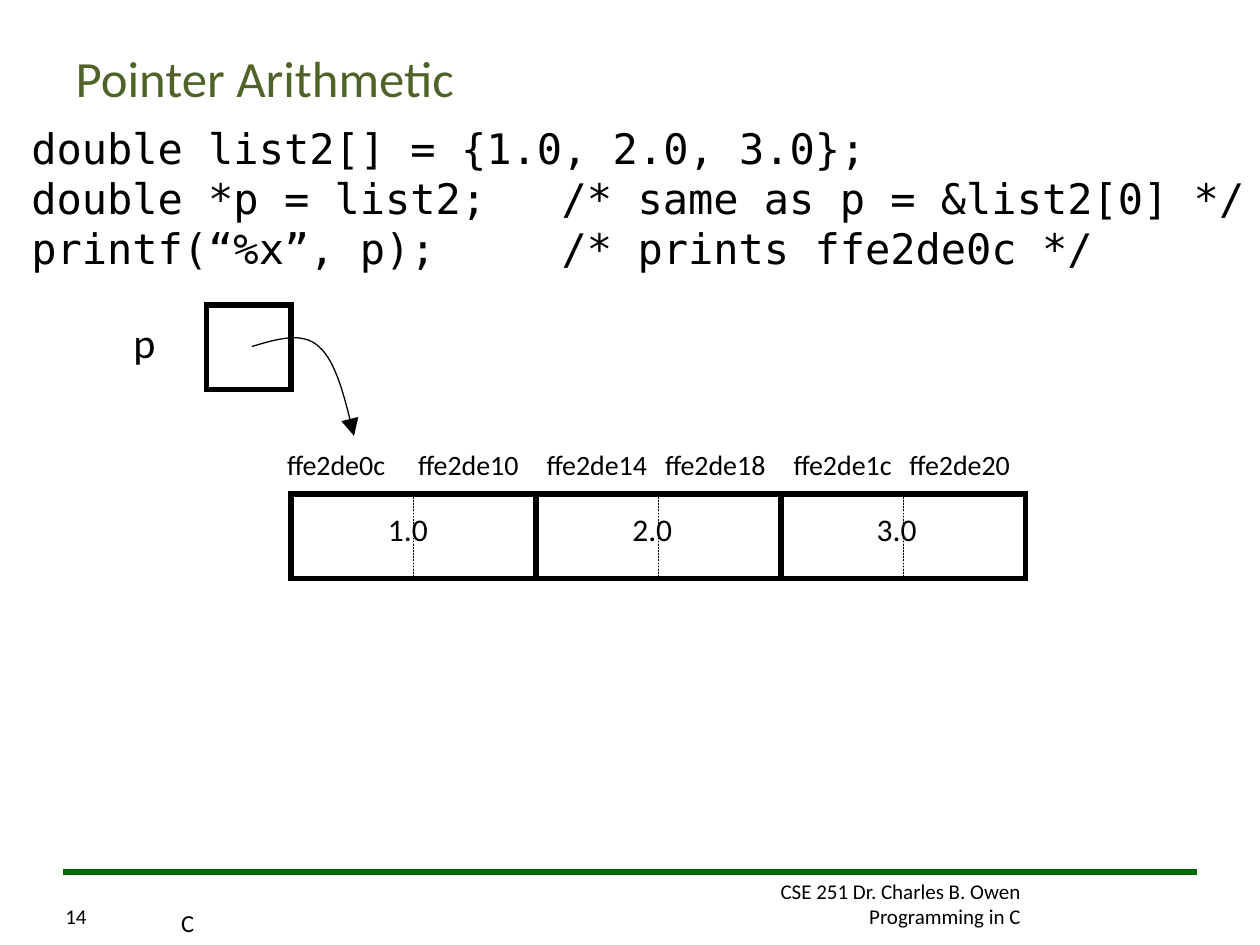
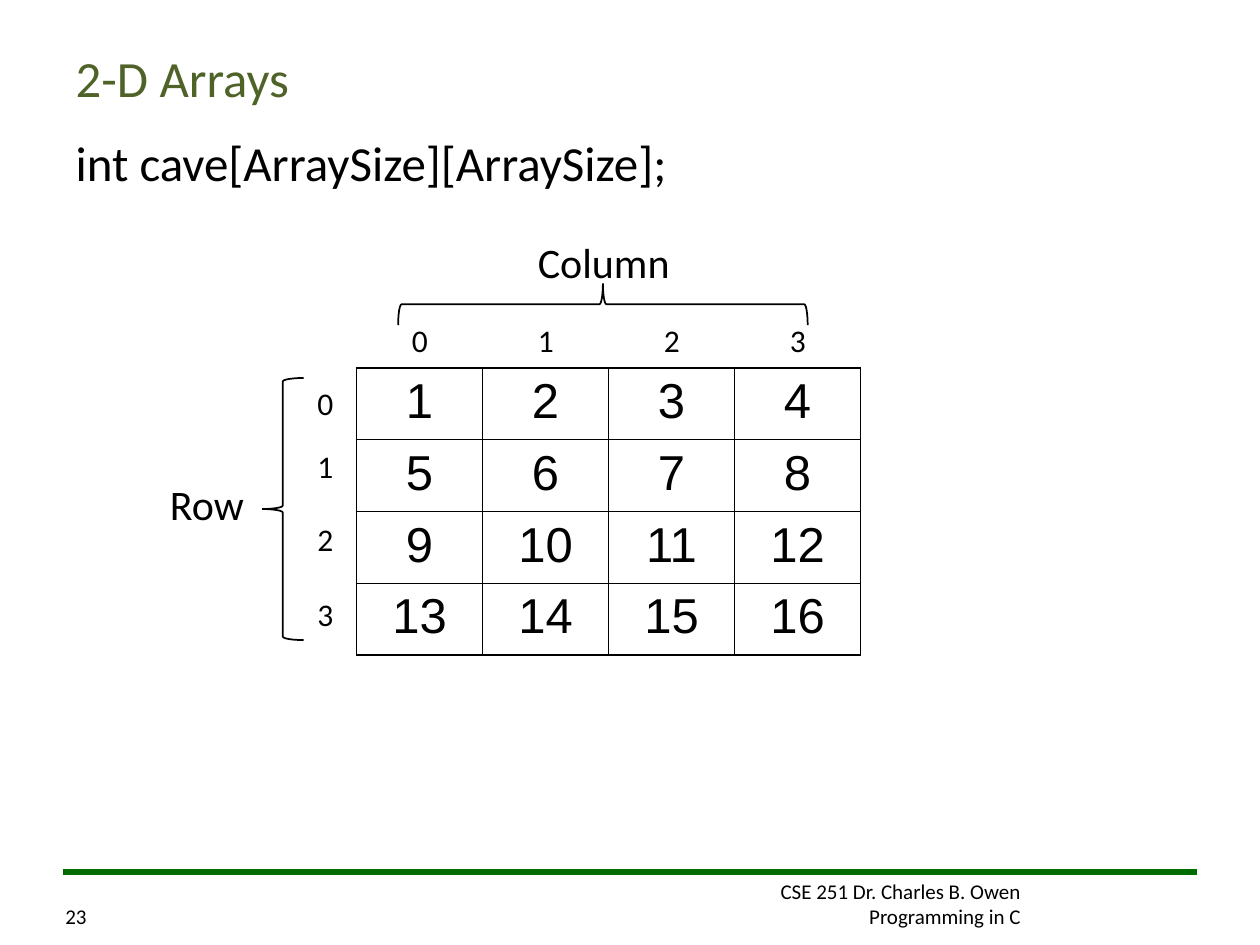
from dataclasses import dataclass

from pptx import Presentation
from pptx import util as u
from pptx.dml import color
from pptx.enum import dml, shapes, text
from pptx.oxml import xmlchemy

In, Pt = u.Inches, u.Pt


@dataclass(frozen=True)
class Theme:
    ink: str = "000000"
    title: str = "4F6228"
    rule: str = "006C00"
    faint: str = "C0C0C0"
    font: str = "Calibri"
    mono: str = "DejaVu Sans Mono"
    table_font: str = "Arial"
    title_size: int = 29
    body_size: int = 28
    label_size: int = 24
    value_size: int = 18
    address_size: int = 16
    note_size: int = 14
    footer_size: int = 12


def add_xml(parent, tag, **attrs):
    el = xmlchemy.OxmlElement(tag)
    for name, value in attrs.items():
        el.set(name, str(value))
    parent.append(el)
    return el


class Deck:
    def __init__(self, theme):
        self.t = theme
        self.prs = Presentation()
        self.prs.slide_width, self.prs.slide_height = In(10), In(7.5)
        self.s = None

    def new_slide(self, layout, title, number):
        self.s = self.prs.slides.add_slide(self.prs.slide_layouts[layout])
        self.placeholder(self.s.shapes.title, (0.5, 0.3, 9, 0.62), title,
                         self.t.title_size, self.t.title,
                         text.MSO_ANCHOR.MIDDLE)
        self.text(4.83, 6.92, 3.37, 0.5,
                  ["CSE 251 Dr. Charles B. Owen", "Programming in C"],
                  self.t.footer_size, align=text.PP_ALIGN.RIGHT)
        self.rule((9.5, 6.92), (0.5, 6.92))
        self.text(0.42, 7.12, 0.4, 0.3, [number], self.t.footer_size)

    def run(self, p, words, size, font=None, ink=None):
        r = p.add_run()
        r.text = words
        r.font.size = Pt(size)
        r.font.name = font or self.t.font
        r.font.color.rgb = color.RGBColor.from_string(ink or self.t.ink)

    def placeholder(self, sp, box, words, size, ink, anchor):
        sp.left, sp.top, sp.width, sp.height = map(In, box)
        tf = sp.text_frame
        tf.auto_size = text.MSO_AUTO_SIZE.NONE
        tf.vertical_anchor = anchor
        p = tf.paragraphs[0]
        p.alignment = text.PP_ALIGN.LEFT
        p.space_before = Pt(0)
        self.run(p, words, size, ink=ink)
        return p

    def body(self, words):
        p = self.placeholder(self.s.placeholders[1], (0.5, 1, 6.58, 0.75),
                             words, self.t.body_size, self.t.ink,
                             text.MSO_ANCHOR.TOP)
        pPr = p._p.get_or_add_pPr()
        pPr.set("marL", "0")
        pPr.set("indent", "0")
        add_xml(pPr, "a:buNone")

    def text(self, x, y, w, h, lines, size, font=None, wrap=True,
             align=text.PP_ALIGN.LEFT, tab=None):
        tf = self.s.shapes.add_textbox(In(x), In(y), In(w), In(h)).text_frame
        tf.word_wrap = wrap
        for i, line in enumerate(lines):
            p = tf.add_paragraph() if i else tf.paragraphs[0]
            p.alignment = align
            if tab:
                tabs = add_xml(p._p.get_or_add_pPr(), "a:tabLst")
                add_xml(tabs, "a:tab", pos=In(tab), algn="l")
            self.run(p, line, size, font)

    def outline(self, sp, width, ink=None, dash=None):
        sp.shadow.inherit = False
        sp.fill.background()
        sp.line.color.rgb = color.RGBColor.from_string(ink or self.t.ink)
        sp.line.width = Pt(width)
        if dash:
            sp.line.dash_style = dash
        ln = sp._element.spPr.get_or_add_ln()
        add_xml(ln, "a:miter", lim=800000)
        return ln

    def shape(self, kind, x, y, w, h, width, ink=None, dash=None):
        sp = self.s.shapes.add_shape(kind, In(x), In(y), In(w), In(h))
        self.outline(sp, width, ink, dash)
        return sp

    def box(self, *args, **style):
        return self.shape(shapes.MSO_SHAPE.RECTANGLE, *args, **style)

    def brace(self, x, y, w, h, rotation=0):
        sp = self.shape(shapes.MSO_SHAPE.LEFT_BRACE, x, y, w, h, 1)
        sp.rotation = rotation

    def rule(self, start, end):
        sp = self.s.shapes.add_connector(shapes.MSO_CONNECTOR.STRAIGHT,
                                         *map(In, start + end))
        sp.line.color.rgb = color.RGBColor.from_string(self.t.rule)
        sp.line.width = Pt(3)
        add_xml(sp._element.spPr, "a:effectLst")

    def curved_arrow(self, start, *curves, steps=16):
        points = [start]
        for b, c, d in curves:
            a = points[-1]
            for i in range(1, steps + 1):
                k = i / steps
                weights = ((1 - k) ** 3, 3 * k * (1 - k) ** 2,
                           3 * k * k * (1 - k), k ** 3)
                points.append(tuple(
                    sum(m * v for m, v in zip(weights, axis))
                    for axis in zip(a, b, c, d)))
        fb = self.s.shapes.build_freeform(In(start[0]), In(start[1]))
        fb.add_line_segments([(In(x), In(y)) for x, y in points[1:]],
                             close=False)
        ln = self.outline(fb.convert_to_shape(), 0.75)
        add_xml(ln, "a:tailEnd", type="triangle", w="lg", len="lg")

    def border(self, tcPr, side, width):
        ln = add_xml(tcPr, "a:ln" + side, w=Pt(width))
        add_xml(add_xml(ln, "a:solidFill"), "a:srgbClr", val=self.t.ink)

    def table(self, x, y, w, h, rows):
        n, m = len(rows), len(rows[0])
        table = self.s.shapes.add_table(n, m, In(x), In(y), In(w), In(h)).table
        table.first_row = table.horz_banding = False
        for i, row in enumerate(rows):
            for j, value in enumerate(row):
                cell = table.cell(i, j)
                outer = {"L": j == 0, "R": j == m - 1,
                         "T": i == 0, "B": i == n - 1}
                for side, edge in outer.items():
                    self.border(cell._tc.get_or_add_tcPr(), side,
                                1.08 if edge else 0.45)
                cell.fill.background()
                p = cell.text_frame.paragraphs[0]
                p.alignment = text.PP_ALIGN.CENTER
                self.run(p, str(value), self.t.body_size, self.t.table_font)


def pointer_slide(d):
    t = d.t
    d.new_slide(5, "Pointer Arithmetic", "14")
    d.box(1.64, 2.42, 0.67, 0.67, 3)
    d.text(0.96, 2.46, 0.37, 0.5, ["p"], t.label_size, wrap=False)
    d.text(0.15, 0.92, 9.83, 1.9,
           ["double list2[] = {1.0, 2.0, 3.0};",
            "double *p = list2;\t/* same as p = &list2[0] */",
            "printf(“%x”, p);\t/* prints ffe2de0c */"],
           t.label_size, t.mono, wrap=False, tab=4.21)

    top, height, half = 3.92, 0.67, 0.97
    dash = dml.MSO_LINE.DASH
    values = {"1.0": 2.98, "2.0": 4.92, "3.0": 6.86}
    for i, (value, value_x) in enumerate(values.items()):
        x = 2.31 + 1.945 * i
        d.box(x, top, half, height, 0.25, ink=t.faint, dash=dash)
        d.box(x + half, top, half, height, 0.25, dash=dash)
        d.text(value_x, 4, 0.92, 0.4, [value], t.value_size)
        d.box(x, top, 2 * half, height, 3)

    addresses = {"ffe2de0c": 2.18, "ffe2de10": 3.22, "ffe2de14": 4.24,
                 "ffe2de18": 5.18, "ffe2de1c": 6.2, "ffe2de20": 7.12}
    for address, x in addresses.items():
        d.text(x, 3.5, 1, 0.37, [address], t.address_size, wrap=False)

    d.curved_arrow((2, 2.75),
                   ((2.2, 2.69), (2.4, 2.63), (2.53, 2.75)),
                   ((2.67, 2.87), (2.74, 3.17), (2.81, 3.46)))
    d.text(1.34, 7.16, 0.3, 0.34, ["C"], t.note_size, wrap=False)


def array_slide(d):
    t = d.t
    d.new_slide(1, "2-D Arrays", "23")
    d.body("int cave[ArraySize][ArraySize];")
    d.table(2.83, 2.92, 4, 2.28,
            [range(first, first + 4) for first in range(1, 17, 4)])
    for i, row_y in enumerate((3, 3.5, 4.08, 4.67)):
        d.text(2.42, row_y, 0.33, 0.4, [str(i)], t.value_size)
        d.text(3.17 + i, 2.5, 0.33, 0.4, [str(i)], t.value_size)
    d.text(1.25, 3.75, 0.85, 0.5, ["Row"], t.label_size, wrap=False)
    d.text(4.17, 1.83, 1.4, 0.5, ["Column"], t.label_size, wrap=False)
    d.brace(2.08, 3, 0.33, 2.08)
    d.brace(4.62, 0.79, 0.33, 3.25, rotation=90)


def main():
    d = Deck(Theme())
    pointer_slide(d)
    array_slide(d)
    d.prs.save("out.pptx")


if __name__ == "__main__":
    main()
